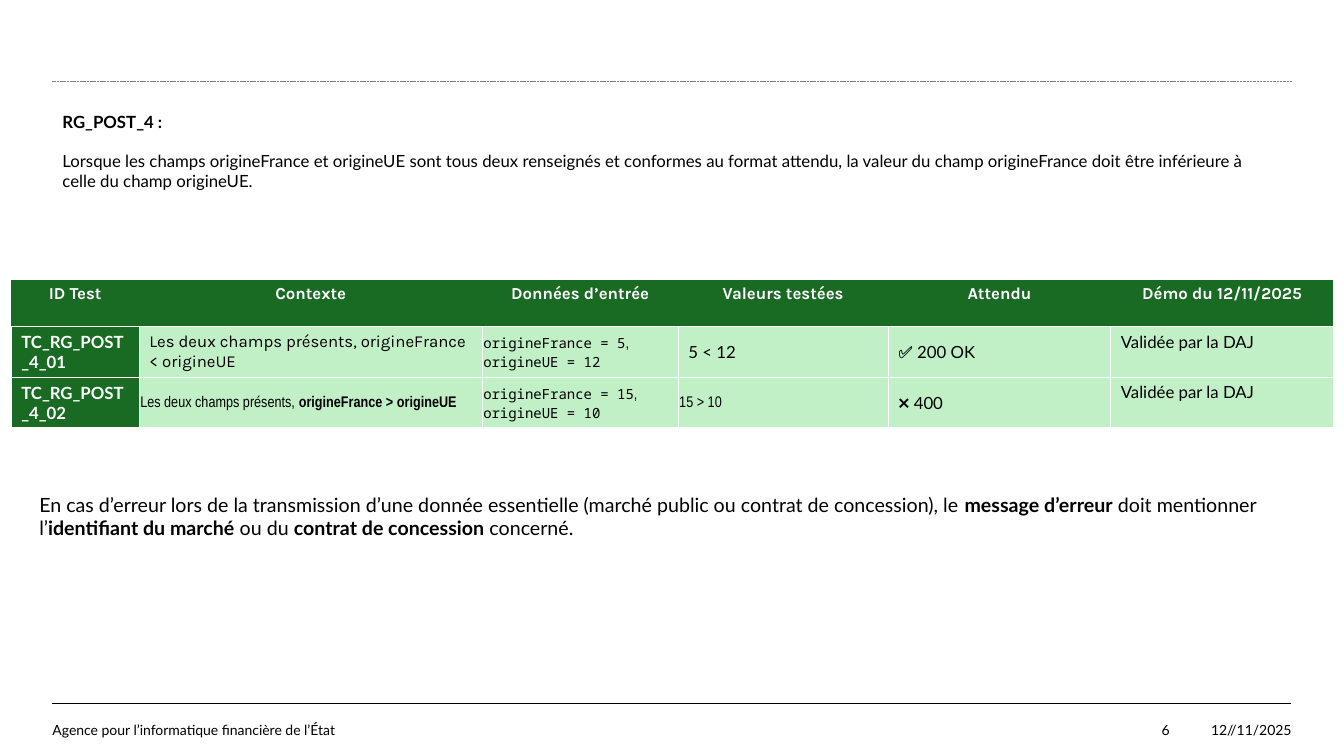
import collections

import lxml.etree
import pptx
import pptx.dml.color
import pptx.enum.dml
import pptx.enum.shapes
import pptx.enum.text
import pptx.oxml.ns
import pptx.util

Pt = pptx.util.Pt
RGBColor = pptx.dml.color.RGBColor
ALIGN = pptx.enum.text.PP_ALIGN
ANCHOR = pptx.enum.text.MSO_ANCHOR
qn = pptx.oxml.ns.qn

BLACK = RGBColor(0x00, 0x00, 0x00)
WHITE = RGBColor(0xFF, 0xFF, 0xFF)
GREY = RGBColor(0x80, 0x80, 0x80)
DARK_GREEN = RGBColor(0x19, 0x6B, 0x24)
LIGHT_GREEN = RGBColor(0xC1, 0xF0, 0xC7)

Style = collections.namedtuple("Style", "font size bold color", defaults=(False, BLACK))
FOOTER = Style("Lato", 10)
RULE = Style("Lato", 12)
RULE_BOLD = Style("Lato", 12, True)
NOTE = Style("Lato", 14)
NOTE_BOLD = Style("Lato", 14, True)
HEADER = Style("Karla", 12, True, WHITE)
TEST_ID = Style("Lato", 12, True, WHITE)
CONTEXT = Style("Karla", 12)
CODE = Style("Noto Sans Mono", 10)
NARROW = Style("Arial Narrow", 11)
NARROW_BOLD = Style("Arial Narrow", 11, True)

NORMAL = (7.2, 3.6, 7.2, 3.6)
HEADER_INSETS = (5, 3.6, 5, 3.6)
TIGHT = (0.75, 0.75, 0.75, 0)
NO_INSETS = (0, 0, 0, 0)

COLUMN_WIDTHS = [91.5, 245, 140, 150, 159, 159]
ROW_HEIGHTS = [34, 36, 36]
HEADINGS = ["ID Test", "Contexte", "Données d’entrée", "Valeurs testées",
            "Attendu", "Démo du 12/11/2025"]


def input_data(france, ue):
    return TIGHT, [(f"origineFrance = {france}", CODE), (", ", NARROW),
                   (f"origineUE = {ue}", CODE)]


# Each cell is its insets and its runs.
TESTS = [
    [(NORMAL, [("TC_RG_POST_4_01", TEST_ID)]),
     (NORMAL, [("Les deux champs présents, origineFrance < origineUE", CONTEXT)]),
     input_data(5, 12),
     (NORMAL, [("5 < 12", RULE)]),
     (NORMAL, [("✅ 200 OK", RULE)]),
     (NORMAL, [("Validée par la DAJ", RULE)])],
    [(NORMAL, [("TC_RG_POST_4_02", TEST_ID)]),
     (TIGHT, [("Les deux champs présents, ", NARROW),
              ("origineFrance > origineUE", NARROW_BOLD)]),
     input_data(15, 10),
     (TIGHT, [("15 > 10", NARROW)]),
     (NORMAL, [("❌ 400", RULE)]),
     (NORMAL, [("Validée par la DAJ", RULE)])],
]


def add_runs(p, runs):
    for text, style in runs:
        r = p.add_run()
        r.text = text
        r.font.name = style.font
        r.font.size = Pt(style.size)
        r.font.bold = style.bold
        r.font.color.rgb = style.color


def set_insets(frame, insets):
    """Set the margins of a text frame or a cell: left, top, right, bottom."""
    frame.margin_left, frame.margin_top, frame.margin_right, frame.margin_bottom = map(Pt, insets)


def add_text(s, left, top, width, height, runs, insets=NORMAL):
    sp = s.shapes.add_textbox(Pt(left), Pt(top), Pt(width), Pt(height))
    tf = sp.text_frame
    tf.word_wrap = True
    set_insets(tf, insets)
    add_runs(tf.paragraphs[0], runs)
    return tf


def add_rule_line(s, left, top, width, color, weight):
    line = s.shapes.add_connector(pptx.enum.shapes.MSO_CONNECTOR.STRAIGHT,
                                  Pt(left), Pt(top), Pt(left + width), Pt(top))
    line.line.color.rgb = color
    line.line.width = Pt(weight)
    lxml.etree.SubElement(line._element.spPr, qn("a:effectLst"))
    return line


def add_header_line(s, left, top, width):
    line = add_rule_line(s, left, top, width, GREY, 0.25)
    line.line.dash_style = pptx.enum.dml.MSO_LINE.SQUARE_DOT


def add_footer(s, left, top, width, height):
    add_rule_line(s, left, top, width, BLACK, 0.8)
    parts = [("Agence pour l’informatique financière de l’État", 656, ALIGN.LEFT),
             ("6", 142, ALIGN.RIGHT),
             ("12//11/2025", width - 656 - 142, ALIGN.RIGHT)]
    for text, part_width, align in parts:
        tf = add_text(s, left, top, part_width, height, [(text, FOOTER)], NO_INSETS)
        tf.vertical_anchor = ANCHOR.MIDDLE
        tf.paragraphs[0].alignment = align
        left += part_width


def add_business_rule(s, left, top, width, height):
    tf = add_text(s, left, top, width, height, [("RG_POST_4 :", RULE_BOLD)])
    tf.paragraphs[0].line_spacing = Pt(13.5)
    p = tf.add_paragraph()
    p.space_before = Pt(13.5)
    add_runs(p, [("Lorsque les champs origineFrance et origineUE sont tous deux renseignés "
                  "et conformes au format attendu, la valeur du champ origineFrance doit "
                  "être inférieure à celle du champ origineUE.", RULE)])


def set_borders(cell, visible):
    """Draw white borders on the visible sides (of "LRTB") and clear the others."""
    tcPr = cell._tc.get_or_add_tcPr()
    for i, side in enumerate("LRTB"):
        ln = lxml.etree.Element(qn(f"a:ln{side}"), w=str(Pt(0.75)))
        if side in visible:
            fill = lxml.etree.SubElement(ln, qn("a:solidFill"))
            lxml.etree.SubElement(fill, qn("a:srgbClr"), val=str(WHITE))
        else:
            lxml.etree.SubElement(ln, qn("a:noFill"))
        tcPr.insert(i, ln)


def fill_cell(cell, insets, runs, color, anchor, borders):
    set_insets(cell, insets)
    cell.vertical_anchor = anchor
    cell.fill.solid()
    cell.fill.fore_color.rgb = color
    set_borders(cell, borders)
    add_runs(cell.text_frame.paragraphs[0], runs)


def add_test_table(s, left, top):
    table = s.shapes.add_table(len(ROW_HEIGHTS), len(COLUMN_WIDTHS), Pt(left), Pt(top),
                               Pt(sum(COLUMN_WIDTHS)), Pt(sum(ROW_HEIGHTS))).table
    table.horz_banding = False
    for column, width in zip(table.columns, COLUMN_WIDTHS):
        column.width = Pt(width)
    for row, height in zip(table.rows, ROW_HEIGHTS):
        row.height = Pt(height)

    for c, heading in enumerate(HEADINGS):
        cell = table.cell(0, c)
        fill_cell(cell, HEADER_INSETS, [(heading, HEADER)], DARK_GREEN, ANCHOR.TOP, "TB")
        p = cell.text_frame.paragraphs[0]
        p.alignment = ALIGN.CENTER
        p.line_spacing = Pt(13.5)

    last = len(HEADINGS) - 1
    for r, test in enumerate(TESTS, start=1):
        for c, (insets, runs) in enumerate(test):
            fill_cell(table.cell(r, c), insets, runs,
                      DARK_GREEN if c == 0 else LIGHT_GREEN,
                      ANCHOR.TOP if c == last else ANCHOR.MIDDLE, "LRTB")


def add_error_note(s, left, top, width, height):
    add_text(s, left, top, width, height, [
        ("En cas d’erreur lors de la transmission d’une donnée essentielle "
         "(marché public ou contrat de concession), le ", NOTE),
        ("message d’erreur", NOTE_BOLD),
        (" doit mentionner l’", NOTE),
        ("identifiant du marché", NOTE_BOLD),
        (" ou du ", NOTE),
        ("contrat de concession", NOTE_BOLD),
        (" concerné.", NOTE)])


def main():
    prs = pptx.Presentation()
    prs.slide_width, prs.slide_height = Pt(960), Pt(540)
    s = prs.slides.add_slide(prs.slide_layouts.get_by_name("Blank"))
    add_header_line(s, 37.5, 58, 885)
    add_footer(s, 37.5, 502.5, 885, 37.5)
    add_test_table(s, 8, 199.5)
    add_business_rule(s, 37.5, 77, 870.5, 65)
    add_error_note(s, 21, 348.5, 917, 41)
    prs.save("out.pptx")


if __name__ == "__main__":
    main()
